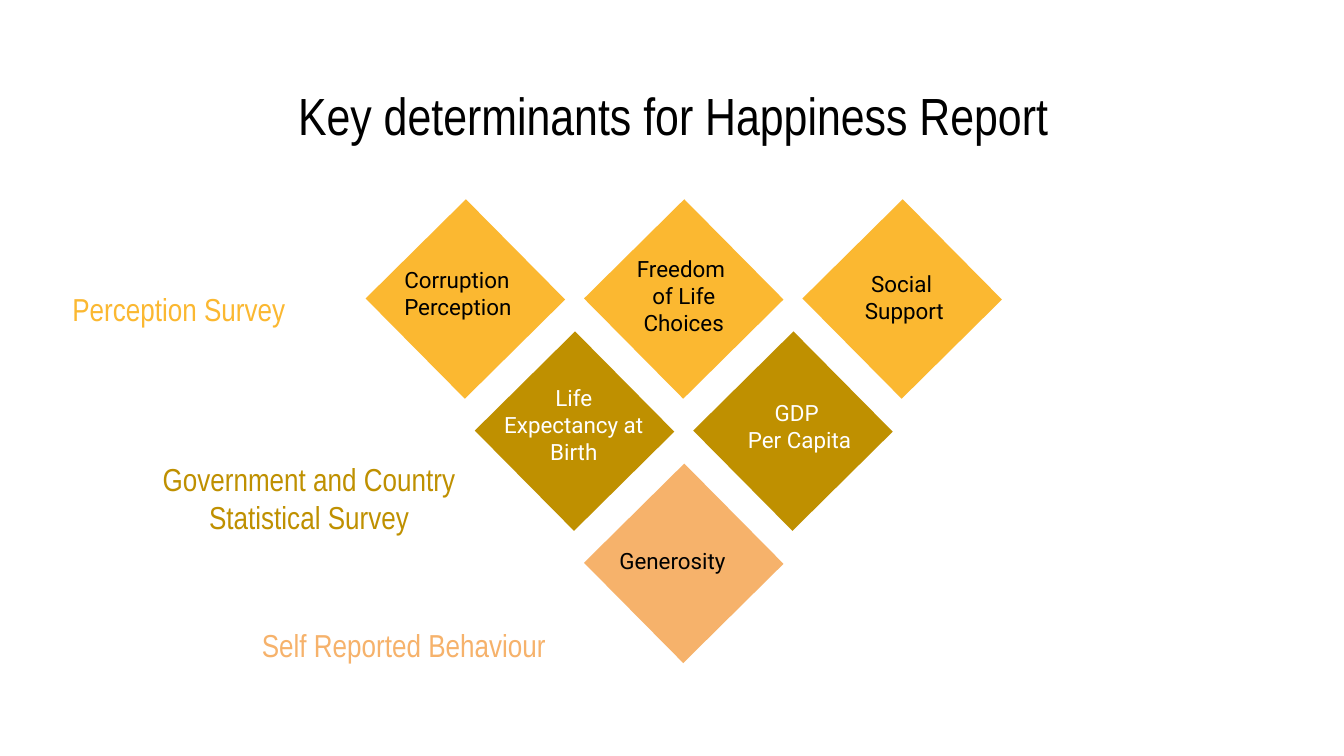
"""Build the slide on the key determinants of the happiness report."""
from dataclasses import dataclass

from pptx import Presentation
from pptx.dml.color import RGBColor
from pptx.enum.shapes import MSO_SHAPE
from pptx.enum.text import MSO_ANCHOR as Anchor, MSO_AUTO_SIZE as AutoSize, PP_ALIGN as Align
from pptx.slide import Slide
from pptx.text.text import TextFrame
from pptx.util import Pt

AMBER, OCHRE, PEACH = "FBB831", "BF9000", "F6B26B"
BLACK, WHITE = "000000", "FFFFFF"
HEADING_FONT, LABEL_FONT = "Arial Narrow", "Roboto"
SIDE = 75.6
FIRST_LEFT, FIRST_TOP = 211.5, 122.4
HALF_COLUMN, ROW_STEP = 58.5, 70.8


@dataclass(frozen=True)
class Box:
    left: float
    top: float
    width: float
    height: float


@dataclass(frozen=True)
class Determinant:
    lines: tuple[str, ...]
    row: int
    half_column: int
    label: Box
    align: Align = Align.CENTER


@dataclass(frozen=True)
class Category:
    name: str
    color: str
    label_color: str
    heading: Box
    align: Align
    determinants: tuple[Determinant, ...]


CATEGORIES = (
    Category("Perception Survey", AMBER, BLACK, Box(31.7, 151.9, 164.2, 26.6), Align.LEFT, (
        Determinant(("Corruption", "Perception"), 0, 0, Box(209.5, 135.4, 84.2, 43.9), Align.LEFT),
        Determinant(("Freedom ", "of Life Choices"), 0, 2, Box(321, 129.6, 90.7, 58.3)),
        Determinant(("Social ", "Support"), 0, 4, Box(439.2, 137.5, 90.7, 43.9)),
    )),
    Category("Government and Country Statistical Survey", OCHRE, WHITE,
             Box(68.4, 253.4, 194.4, 26.6), Align.CENTER, (
        Determinant(("Life Expectancy at Birth",), 1, 1, Box(262.1, 198.7, 90.7, 58.3)),
        Determinant(("GDP ", "Per Capita"), 1, 3, Box(383, 206.6, 90.7, 43.9)),
    )),
    Category("Self Reported Behaviour", PEACH, BLACK, Box(133.2, 331.9, 194.4, 26.6), Align.LEFT, (
        Determinant(("Generosity",), 2, 2, Box(324.7, 285.8, 84.2, 28.8), Align.LEFT),
    )),
)


def rgb(color: str) -> RGBColor:
    return RGBColor.from_string(color)


def corners(box: Box) -> tuple[Pt, Pt, Pt, Pt]:
    return Pt(box.left), Pt(box.top), Pt(box.width), Pt(box.height)


def write(frame: TextFrame, lines: tuple[str, ...], font: str, size: float, color: str,
          align: Align, anchor: Anchor) -> None:
    frame.word_wrap = True
    frame.auto_size = AutoSize.NONE
    frame.vertical_anchor = anchor
    frame.margin_left = frame.margin_right = frame.margin_top = frame.margin_bottom = Pt(7.2)
    frame.text = "\n".join(lines)
    for paragraph in frame.paragraphs:
        paragraph.alignment = align
        paragraph.font.name = font
        paragraph.font.size = Pt(size)
        paragraph.font.color.rgb = rgb(color)


def add_title(slide: Slide, text: str) -> None:
    title = slide.shapes.title
    title.left, title.top, title.width, title.height = corners(Box(56.2, 42.5, 608.4, 38.2))
    write(title.text_frame, (text,), HEADING_FONT, 28, BLACK, Align.CENTER, Anchor.MIDDLE)


def add_diamond(slide: Slide, determinant: Determinant, color: str) -> None:
    place = Box(FIRST_LEFT + determinant.half_column * HALF_COLUMN,
                FIRST_TOP + determinant.row * ROW_STEP, SIDE, SIDE)
    diamond = slide.shapes.add_shape(MSO_SHAPE.RECTANGLE, *corners(place))
    diamond.rotation = 45.3
    diamond.shadow.inherit = False
    diamond.fill.solid()
    diamond.fill.fore_color.rgb = rgb(color)
    diamond.line.fill.background()


def add_category(slide: Slide, category: Category) -> None:
    for determinant in category.determinants:
        add_diamond(slide, determinant, category.color)
        label = slide.shapes.add_textbox(*corners(determinant.label))
        write(label.text_frame, determinant.lines, LABEL_FONT, 12, category.label_color,
              determinant.align, Anchor.TOP)
    heading = slide.shapes.add_textbox(*corners(category.heading))
    write(heading.text_frame, (category.name,), HEADING_FONT, 17, category.color,
          category.align, Anchor.MIDDLE)


def main() -> None:
    deck = Presentation()
    deck.slide_width, deck.slide_height = Pt(720), Pt(405)
    slide = deck.slides.add_slide(deck.slide_layouts[5])
    add_title(slide, "Key determinants for Happiness Report")
    for category in CATEGORIES:
        add_category(slide, category)
    deck.save("out.pptx")


if __name__ == "__main__":
    main()
